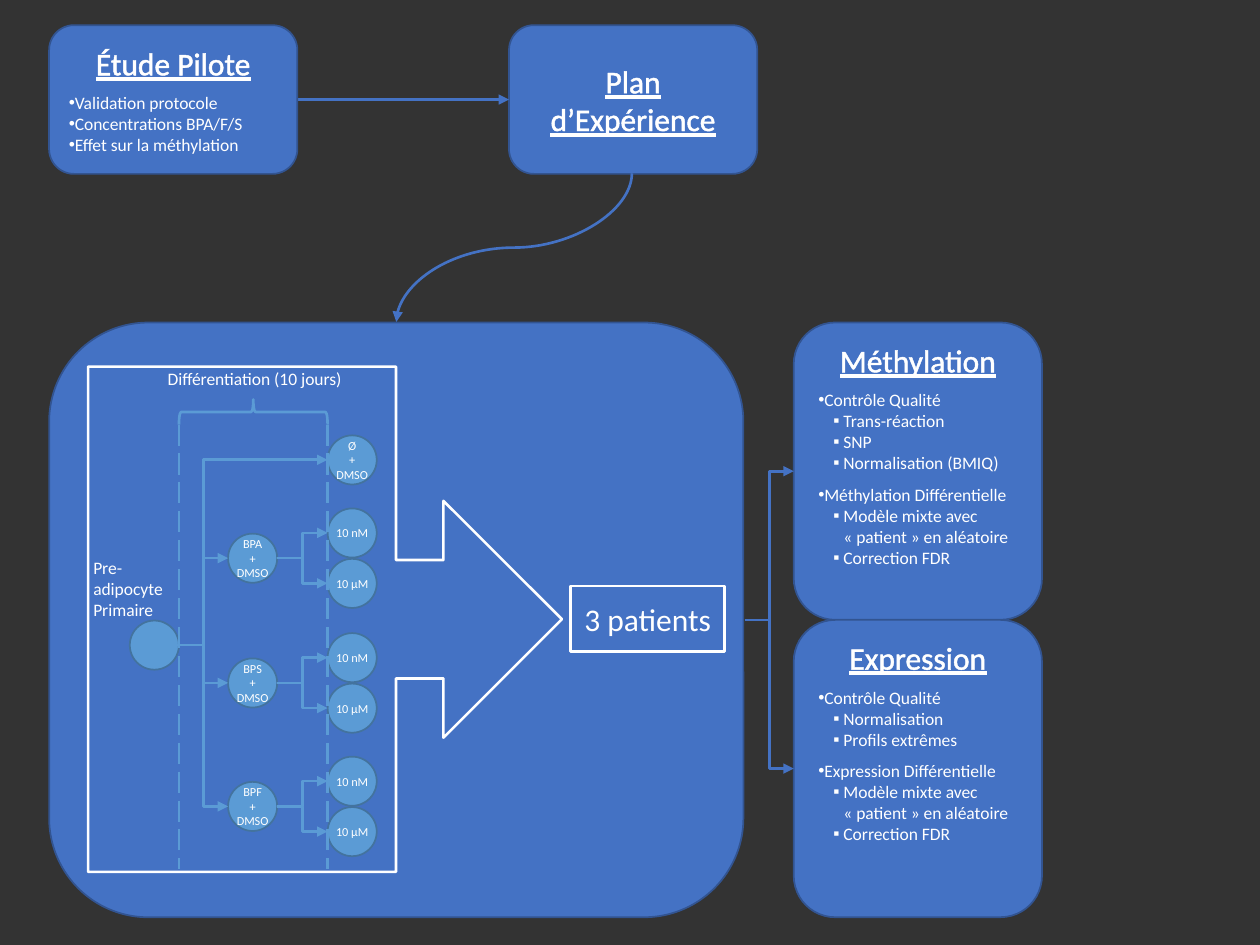
from dataclasses import dataclass

import pptx
import pptx.dml.color
import pptx.enum.dml
import pptx.enum.shapes
import pptx.enum.text
import pptx.oxml
import pptx.oxml.ns
import pptx.util
from lxml import etree

Inches = pptx.util.Inches
Pt = pptx.util.Pt
RGBColor = pptx.dml.color.RGBColor
Shape = pptx.enum.shapes.MSO_SHAPE
Connector = pptx.enum.shapes.MSO_CONNECTOR
Align = pptx.enum.text.PP_ALIGN
Anchor = pptx.enum.text.MSO_ANCHOR
qn = pptx.oxml.ns.qn

BACKGROUND = RGBColor(0x33, 0x33, 0x33)
BLUE = RGBColor(0x44, 0x72, 0xC4)
BLUE_EDGE = RGBColor(0x32, 0x54, 0x91)
SKY = RGBColor(0x5B, 0x9B, 0xD5)
SKY_EDGE = RGBColor(0x43, 0x73, 0x9E)
WHITE = RGBColor(0xFF, 0xFF, 0xFF)

FONT = "Calibri"
NODE = 0.39
START_X, TREATMENT_X, DOSE_X = 1.03, 1.81, 2.6
START_Y, CONTROL_Y = 5.12, 3.65
DOSE_OFFSET = 0.2


@dataclass
class Bullet:
    text: str
    level: int = 0
    space_before: float = 0


@dataclass
class Card:
    left: float
    top: float
    height: float
    title: str
    bullets: tuple = ()
    anchor: Anchor = Anchor.MIDDLE
    outline: float = 0.75


MODEL_STEPS = (
    Bullet("Modèle mixte avec «\u00a0patient\u00a0» en aléatoire".replace("\u00a0", chr(160)), 1),
    Bullet("Correction FDR", 1),
)
PLAN = Card(4.04, 0.2, 1.18, "Plan d’Expérience")
PILOT = Card(0.39, 0.2, 1.18, "Étude Pilote", (
    Bullet("Validation protocole"),
    Bullet("Concentrations BPA/F/S"),
    Bullet("Effet sur la méthylation"),
), outline=0)
ANALYSES = (
    Card(6.3, 2.56, 2.36, "Méthylation", (
        Bullet("Contrôle Qualité"),
        Bullet("Trans-réaction", 1),
        Bullet("SNP", 1),
        Bullet("Normalisation (BMIQ)", 1),
        Bullet("Méthylation Différentielle", 0, 6),
    ) + MODEL_STEPS, Anchor.TOP),
    Card(6.3, 4.92, 2.36, "Expression", (
        Bullet("Contrôle Qualité"),
        Bullet("Normalisation", 1),
        Bullet("Profils extrêmes", 1),
        Bullet("Expression Différentielle", 0, 6),
    ) + MODEL_STEPS, Anchor.TOP),
)
TREATMENTS = {"BPA": 4.43, "BPS": 5.42, "BPF": 6.4}


def add_box(shapes, kind, left: float, top: float, width: float, height: float,
            fill=BLUE, edge=BLUE_EDGE, weight: float = 1):
    shape = shapes.add_shape(kind, Inches(left), Inches(top), Inches(width), Inches(height))
    shape.shadow.inherit = False
    if fill is None:
        shape.fill.background()
    else:
        shape.fill.solid()
        shape.fill.fore_color.rgb = fill
    shape.line.color.rgb = edge
    shape.line.width = Pt(weight)
    return shape


def add_run(paragraph, text: str, size: float):
    run = paragraph.add_run()
    run.text = text
    run.font.name = FONT
    run.font.size = Pt(size)
    run.font.color.rgb = WHITE
    return run


def write_lines(shape, lines: tuple, size: float, align=Align.CENTER, inset: float = None) -> None:
    frame = shape.text_frame
    frame.word_wrap = True
    if inset is not None:
        frame.margin_left = frame.margin_right = Inches(inset)
        frame.margin_top = frame.margin_bottom = Inches(inset)
    paragraph = frame.paragraphs[0]
    paragraph.alignment = align
    for index, line in enumerate(lines):
        if index:
            paragraph.add_line_break()
        add_run(paragraph, line, size)


def outline_run(run, width: float) -> None:
    properties = run.font._element
    line = etree.Element(qn("a:ln"), w=str(int(Pt(width))))
    fill = etree.SubElement(line, qn("a:solidFill"))
    etree.SubElement(fill, qn("a:srgbClr"), val=str(WHITE))
    properties.insert(0, line)


def add_card(shapes, card: Card) -> None:
    shape = add_box(shapes, Shape.ROUNDED_RECTANGLE, card.left, card.top, 1.97, card.height)
    frame = shape.text_frame
    frame.word_wrap = True
    frame.vertical_anchor = card.anchor
    title = frame.paragraphs[0]
    title.alignment = Align.CENTER
    title.space_after = Pt(6)
    run = add_run(title, card.title, 18)
    run.font.underline = True
    outline_run(run, card.outline)
    for bullet in card.bullets:
        paragraph = frame.add_paragraph()
        paragraph.alignment = Align.LEFT
        paragraph.space_before = Pt(bullet.space_before)
        properties = paragraph._p.get_or_add_pPr()
        properties.set("marL", str(Inches(0.2 * bullet.level)))
        properties.set("indent", str(Inches(-0.08)))
        etree.SubElement(properties, qn("a:buFont"), typeface="Arial")
        etree.SubElement(properties, qn("a:buChar"), char="•▪"[bullet.level])
        add_run(paragraph, bullet.text, 10)


def add_line(shapes, kind, start: tuple, end: tuple, color=BLUE, arrow: bool = True):
    connector = shapes.add_connector(kind, *(Inches(value) for value in start + end))
    connector.line.color.rgb = color
    connector.line.width = Pt(1.5)
    if arrow:
        etree.SubElement(connector.line._get_or_add_ln(), qn("a:tailEnd"), type="triangle")
    etree.SubElement(connector._element.spPr, qn("a:effectLst"))
    return connector


def add_node(shapes, left: float, center_y: float, lines: tuple = ()) -> None:
    node = add_box(shapes, Shape.OVAL, left, center_y - NODE / 2, NODE, NODE, SKY, SKY_EDGE)
    node.text_frame.vertical_anchor = Anchor.MIDDLE
    write_lines(node, lines, 7, inset=0)


def add_label(shapes, left: float, top: float, width: float, height: float, text: str,
              align, inset: float = None) -> None:
    label = shapes.add_textbox(Inches(left), Inches(top), Inches(width), Inches(height))
    write_lines(label, (text,), 10, align, inset)
    label.text_frame.auto_size = pptx.enum.text.MSO_AUTO_SIZE.SHAPE_TO_FIT_TEXT


def add_protocol(shapes) -> None:
    add_box(shapes, Shape.ROUNDED_RECTANGLE, 0.39, 2.56, 5.51, 4.72)
    add_box(shapes, Shape.RIGHT_ARROW_CALLOUT, 0.7, 2.91, 3.76, 4.01, edge=WHITE, weight=1.5)

    # Cells, treatments and doses
    add_node(shapes, START_X, START_Y)
    add_node(shapes, DOSE_X, CONTROL_Y, ("Ø", "+", "DMSO"))
    start = (START_X + NODE, START_Y)
    control = add_line(shapes, Connector.ELBOW, start, (DOSE_X, CONTROL_Y), SKY)
    control._element.spPr.prstGeom.rewrite_guides([("adj1", 16700)])
    for name, center_y in TREATMENTS.items():
        add_node(shapes, TREATMENT_X, center_y, (name, "+", "DMSO"))
        add_line(shapes, Connector.ELBOW, start, (TREATMENT_X, center_y), SKY)
        for dose, offset in (("10 nM", -DOSE_OFFSET), ("10 µM", DOSE_OFFSET)):
            dose_y = center_y + offset
            add_node(shapes, DOSE_X, dose_y, (dose,))
            add_line(shapes, Connector.ELBOW, (TREATMENT_X + NODE, center_y), (DOSE_X, dose_y), SKY)

    # Differentiation period
    brace = add_box(shapes, Shape.LEFT_BRACE, 1.91, 2.68, 0.2, 1.18, None, SKY, 1.5)
    brace.rotation = 90
    add_label(shapes, 1.18, 2.87, 1.68, 0.27, "Différentiation (10 jours)", Align.CENTER)
    for x in (1.42, 2.6):
        limit = add_line(shapes, Connector.STRAIGHT, (x, 3.37), (x, 6.9), SKY, arrow=False)
        limit.line.dash_style = pptx.enum.dml.MSO_LINE.LONG_DASH
    add_label(shapes, 0.7, 4.38, 0.72, 0.61, "Pre-adipocyte Primaire", Align.LEFT, 0.04)

    patients = add_box(shapes, Shape.RECTANGLE, 4.53, 4.65, 1.22, 0.52, edge=WHITE, weight=1.5)
    patients.text_frame.vertical_anchor = Anchor.MIDDLE
    write_lines(patients, ("3 patients",), 18)


def main() -> None:
    presentation = pptx.Presentation()
    presentation.slide_width, presentation.slide_height = Inches(10), Inches(7.5)
    slide = presentation.slides.add_slide(presentation.slide_layouts[6])
    slide.background.fill.solid()
    slide.background.fill.fore_color.rgb = BACKGROUND
    shapes = slide.shapes

    # Study plan and protocol
    add_card(shapes, PLAN)
    add_line(shapes, Connector.STRAIGHT, (2.36, 0.79), (4.04, 0.79))
    add_protocol(shapes.add_group_shape().shapes)
    curve = add_line(shapes, Connector.CURVE, (3.49, 1.03), (4.67, 2.9))
    curve._element.spPr.xfrm.set("rot", str(90 * 60000))

    # Analyses
    for card in ANALYSES:
        add_card(shapes, card)
    for card in ANALYSES:
        add_line(shapes, Connector.ELBOW, (5.91, 4.92), (card.left, card.top + card.height / 2))
    add_card(shapes, PILOT)

    presentation.save("out.pptx")


if __name__ == "__main__":
    main()
